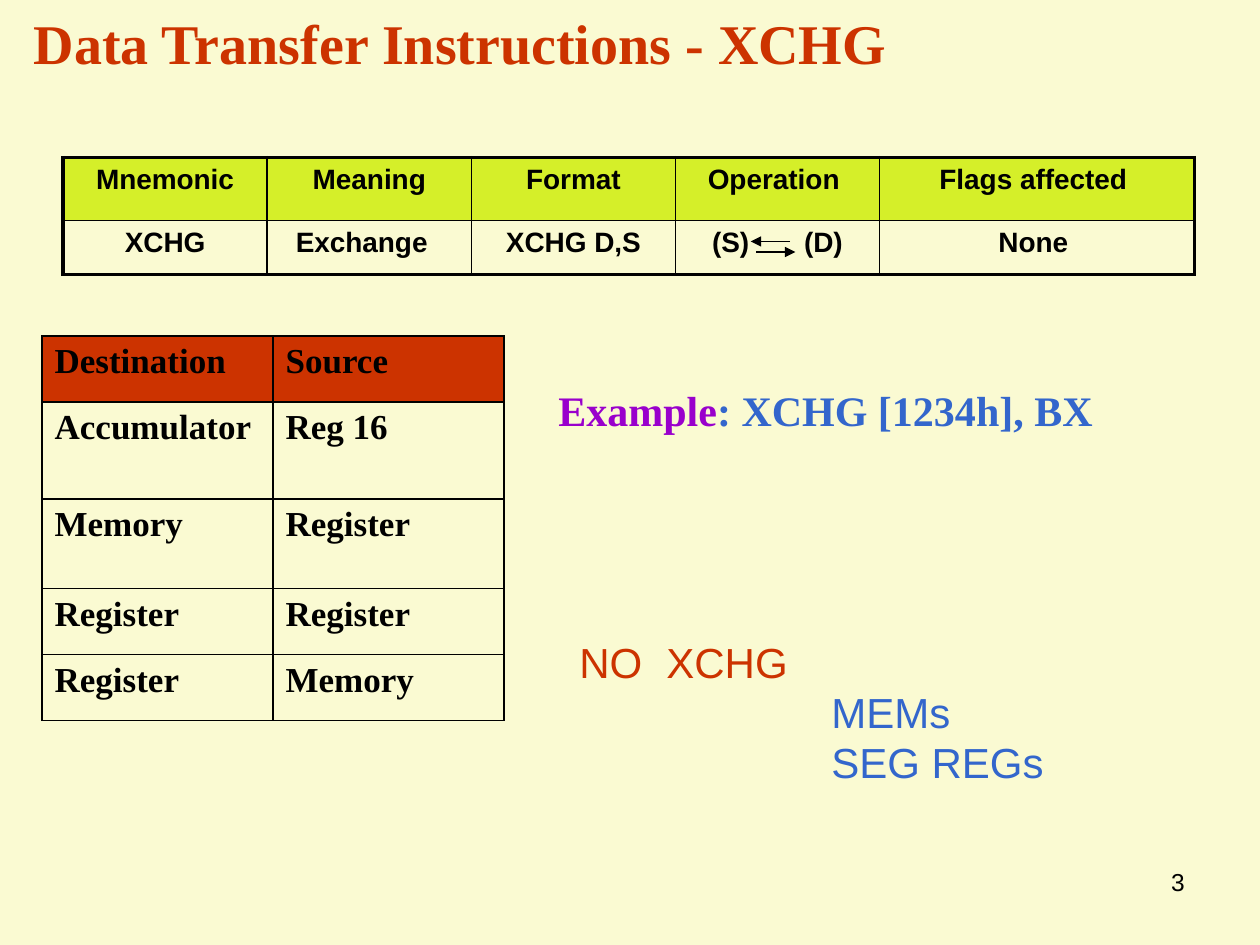
from lxml.etree import SubElement
from pptx import Presentation
from pptx.dml.color import RGBColor
from pptx.enum.shapes import MSO_CONNECTOR
from pptx.enum.text import MSO_ANCHOR, PP_ALIGN
from pptx.oxml.ns import qn
from pptx.util import Inches, Pt

COLORS = {"bg": "FAFAD2", "ink": "000000", "red": "CC3300", "lime": "D5EF29",
          "purple": "9900CC", "blue": "3366CC"}
SERIF, SANS = "Times New Roman", "Arial"
COLS, WIDTH, HEIGHT = 120, 10, 7.5


def color(name):
    return RGBColor.from_string(COLORS[name])


def grid(n):
    return Inches(WIDTH * n / COLS)


def add_run(p, text, size, font, ink="ink", bold=False):
    r = p.add_run()
    r.text = text
    r.font.size, r.font.name, r.font.bold = Pt(size), font, bold
    r.font.color.rgb = color(ink)


def add_tab(p, inches):
    tabs = SubElement(p._p.get_or_add_pPr(), qn("a:tabLst"))
    SubElement(tabs, qn("a:tab"), pos=str(Inches(inches)), algn="l")


def add_box(s, box, wrap=True):
    tf = s.shapes.add_textbox(*map(grid, box)).text_frame
    tf.word_wrap = wrap
    return tf


def set_borders(cell, widths):
    tcPr = cell._tc.get_or_add_tcPr()
    for side, width in zip("LRTB", widths):
        ln = SubElement(tcPr, qn(f"a:ln{side}"), w=str(Pt(width)))
        fill = SubElement(ln, qn("a:solidFill"))
        SubElement(fill, qn("a:srgbClr"), val=COLORS["ink"])


def add_grid_table(s, left, top, widths, heights, rows, style):
    size, font, align, head, outer = style
    table = s.shapes.add_table(len(rows), len(widths), grid(left), grid(top),
                               grid(sum(widths)), grid(sum(heights))).table
    table.first_row = table.horz_banding = False
    for col, width in zip(table.columns, widths):
        col.width = grid(width)
    for i, (height, row) in enumerate(zip(heights, rows)):
        table.rows[i].height = grid(height)
        for j, text in enumerate(row):
            cell = table.cell(i, j)
            edges = (j == 0, j == len(row) - 1, i == 0, i == len(rows) - 1)
            set_borders(cell, [outer if edge else 1 for edge in edges])
            if i == 0:
                cell.fill.solid()
                cell.fill.fore_color.rgb = color(head)
            else:
                cell.fill.background()
            p = cell.text_frame.paragraphs[0]
            p.alignment = align
            add_run(p, text, size, font, bold=True)
    return table


def add_title(s, box):
    title = s.shapes.title
    title.left, title.top, title.width, title.height = map(grid, box)
    tf = title.text_frame
    tf.vertical_anchor = MSO_ANCHOR.MIDDLE
    p = tf.paragraphs[0]
    p.alignment = PP_ALIGN.LEFT
    add_run(p, "Data Transfer Instructions - XCHG", 32, SERIF, "red", True)


def add_arrow(s, x1, x2, y):
    line = s.shapes.add_connector(MSO_CONNECTOR.STRAIGHT, *map(grid, (x1, y, x2, y)))
    line.line.color.rgb = color("ink")
    line.line.width = Pt(0.75)
    SubElement(line.line._get_or_add_ln(), qn("a:tailEnd"), type="triangle")
    SubElement(line._element.spPr, qn("a:effectLst"))


def add_instruction(s, left, top):
    rows = [("Mnemonic", "Meaning", "Format", "Operation ", "Flags affected "),
            ("XCHG", "Exchange", "XCHG D,S", "(S)\t(D)", "None ")]
    table = add_grid_table(s, left, top, [19.45] * 4 + [30], [6, 5.15], rows,
                           (16, SANS, PP_ALIGN.CENTER, "lime", 2.25))
    table.cell(1, 1).margin_right = Inches(0.22)
    swap = table.cell(1, 3)
    swap.margin_left = Inches(0.29)
    p = swap.text_frame.paragraphs[0]
    p.alignment = PP_ALIGN.LEFT
    add_tab(p, 0.73)
    add_arrow(s, left + 69.25, left + 65.5, top + 8)
    add_arrow(s, left + 66, left + 69.75, top + 9)


def add_operands(s, left, top):
    rows = [("Destination", "Source"), ("Accumulator", "Reg 16"),
            ("Memory", "Register"), ("Register", "Register"), ("Register", "Memory")]
    add_grid_table(s, left, top, [22, 22], [6.3, 9.25, 8.5, 6.3, 6.3], rows,
                   (20, SERIF, PP_ALIGN.LEFT, "red", 1))


def add_example(s, box):
    p = add_box(s, box).paragraphs[0]
    add_run(p, "Example", 24, SERIF, "purple", True)
    add_run(p, ": XCHG [1234h], BX", 24, SERIF, "blue", True)


def add_limits(s, box):
    tf = add_box(s, box)
    p = tf.paragraphs[0]
    add_tab(p, 0.69)
    add_run(p, "NO\tXCHG", 24, SANS, "red")
    for text in ("MEMs", "SEG REGs"):
        p = tf.add_paragraph()
        p._p.get_or_add_pPr().set("marL", str(Inches(2)))
        add_run(p, text, 24, SANS, "blue")


def add_number(s, box):
    p = add_box(s, box).paragraphs[0]
    p.alignment = PP_ALIGN.RIGHT
    add_run(p, "3", 14, SANS)


def main():
    prs = Presentation()
    prs.slide_width, prs.slide_height = Inches(WIDTH), Inches(HEIGHT)
    s = prs.slides.add_slide(prs.slide_layouts[5])
    s.background.fill.solid()
    s.background.fill.fore_color.rgb = color("bg")
    add_number(s, (86, 82, 28, 6.25))
    add_title(s, (2, 0, 110, 8))
    add_instruction(s, 6, 15)
    add_operands(s, 4, 32)
    add_example(s, (52, 36, 65, 6))
    add_limits(s, (54, 60, 46.7, 19.2))
    prs.save("out.pptx")


if __name__ == "__main__":
    main()
